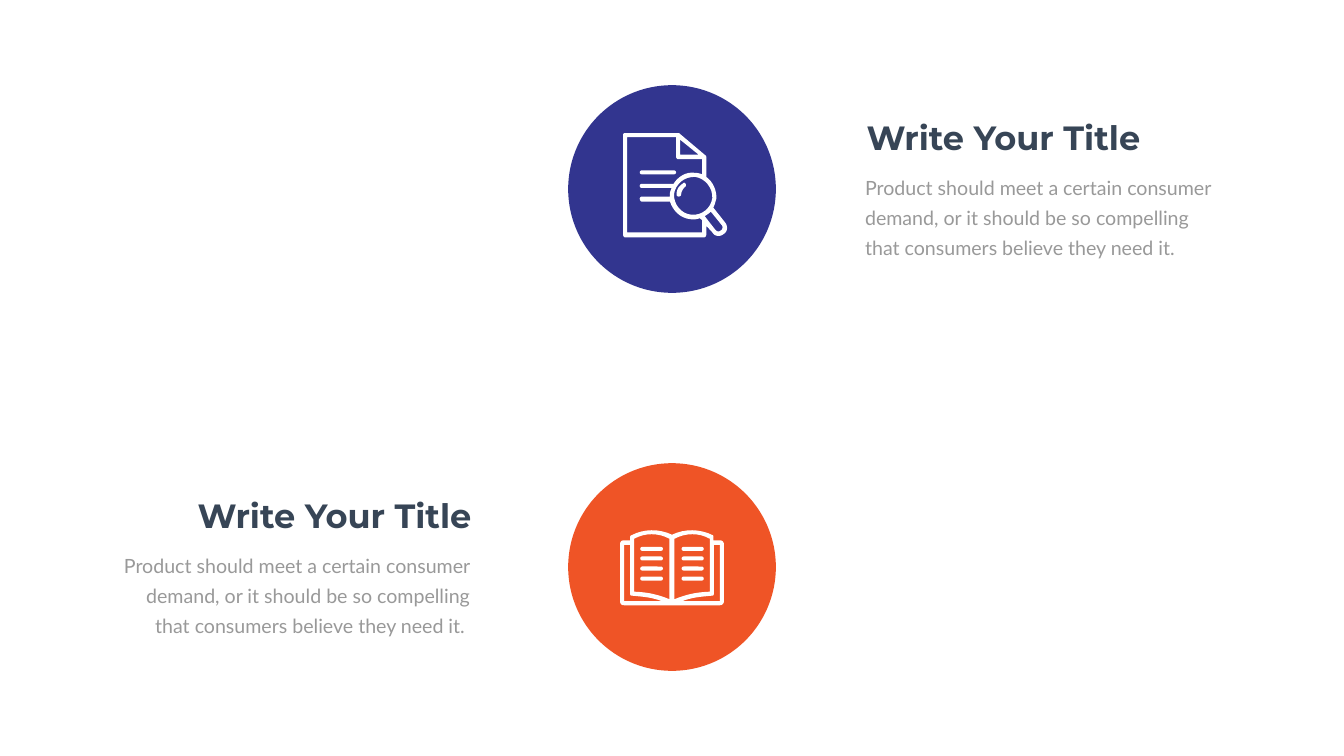
"""Build a slide with two icon circles, each beside a title and a short text."""
import pptx
import pptx.dml.color
import pptx.enum.shapes
import pptx.enum.text
import pptx.util

PX = 9144
SLIDE_WIDTH, SLIDE_HEIGHT = 2666, 1500
CURVE_STEPS = 8
FINE = 10
WHITE = "FFFFFF"
LEFT = pptx.enum.text.PP_ALIGN.LEFT
RIGHT = pptx.enum.text.PP_ALIGN.RIGHT
SHAPES = pptx.enum.shapes.MSO_SHAPE
TITLE = "Write Your Title"
BODY = ("Product should meet a certain consumer demand, or it should be so "
        "compelling that consumers believe they need it.")


def paint(color_format, color):
    color_format.rgb = pptx.dml.color.RGBColor.from_string(color)


def add_text(shapes, text, *, box, size, font, color, align, bold=False, inset=(10, 5), spacing=None):
    shape = shapes.add_textbox(*(length * PX for length in box))
    frame = shape.text_frame
    frame.word_wrap = True
    frame.auto_size = pptx.enum.text.MSO_AUTO_SIZE.SHAPE_TO_FIT_TEXT
    frame.margin_left = frame.margin_right = inset[0] * PX
    frame.margin_top = frame.margin_bottom = inset[1] * PX
    paragraph = frame.paragraphs[0]
    paragraph.alignment = align
    if spacing:
        paragraph.line_spacing = pptx.util.Pt(spacing)
    run = paragraph.add_run()
    run.text = text
    run.font.size = pptx.util.Pt(size)
    run.font.name = font
    run.font.bold = bold
    paint(run.font.color, color)


presentation = pptx.Presentation()
presentation.slide_width = SLIDE_WIDTH * PX
presentation.slide_height = SLIDE_HEIGHT * PX
slide = presentation.slides.add_slide(presentation.slide_layouts[6])

for top, color in ((169, "32358F"), (919, "EF5426")):
    circle = slide.shapes.add_shape(SHAPES.OVAL, 1127 * PX, top * PX, 412 * PX, 412 * PX)
    circle.shadow.inherit = False
    circle.fill.solid()
    paint(circle.fill.fore_color, color)
    circle.line.fill.background()

for body, body_left, title_left, top, align in (
    (BODY, 1692, 1709, 228, LEFT),
    (BODY + " ", 188, 373, 978, RIGHT),
):
    group = slide.shapes.add_group_shape()
    add_text(group.shapes, body, box=(body_left, top + 96, 768, 198), size=28, font="Lato",
             color="999999", align=align, inset=(24, 12), spacing=43)
    add_text(group.shapes, TITLE, box=(title_left, top, 572, 91), size=48, font="Montserrat",
             color="374556", align=align, bold=True)

document_outline = [
    [(1236, 268), (1236, 466), (1236, 468, 1238, 471, 1240, 471), (1397, 471),
     (1399, 471, 1401, 468, 1401, 466), (1401, 448), (1413, 461),
     (1418, 470, 1429, 470, 1436, 464), (1444, 459, 1444, 448, 1438, 441), (1415, 412),
     (1418, 406, 1419, 401, 1421, 394), (1422, 377, 1414, 361, 1401, 351), (1401, 311),
     (1401, 311, 1401, 309, 1399, 308), (1348, 265), (1348, 265, 1347, 264, 1345, 264),
     (1240, 264), (1238, 264, 1236, 265, 1236, 268)],
    [(1432, 447), (1434, 449, 1434, 455, 1430, 457), (1428, 460, 1422, 460, 1419, 456),
     (1398, 429), (1402, 426, 1406, 424, 1410, 420)],
    [(1413, 393), (1410, 413, 1393, 428, 1371, 426), (1351, 424, 1336, 405, 1337, 385),
     (1340, 365, 1358, 350, 1379, 351), (1399, 354, 1414, 373, 1413, 393)],
    [(1349, 277), (1386, 307), (1349, 307)],
    [(1244, 272), (1341, 272), (1341, 311), (1341, 313, 1343, 316, 1345, 316), (1393, 316),
     (1393, 346), (1388, 344, 1384, 343, 1379, 343), (1362, 340, 1345, 350, 1336, 365),
     (1273, 365), (1271, 365, 1269, 366, 1269, 369), (1269, 371, 1271, 373, 1273, 373),
     (1332, 373), (1331, 377, 1329, 381, 1329, 383), (1329, 386, 1329, 389, 1329, 390),
     (1273, 390), (1271, 390, 1269, 393, 1269, 394), (1269, 397, 1271, 400, 1273, 400),
     (1329, 400), (1335, 418, 1349, 433, 1370, 435), (1376, 436, 1383, 435, 1388, 433),
     (1393, 437), (1393, 461), (1244, 461)],
]
lens_glint = [
    [(1355, 364), (1346, 369, 1342, 377, 1342, 386), (1342, 388, 1344, 390, 1346, 390),
     (1348, 390, 1351, 389, 1351, 386), (1352, 379, 1355, 374, 1360, 370),
     (1361, 369, 1361, 366, 1360, 365), (1359, 362, 1356, 362, 1355, 364)],
]
book_cover = [
    (1428, 1072), (1415, 1072), (1415, 1066), (1415, 1064, 1415, 1062, 1414, 1062),
    (1388, 1049, 1358, 1049, 1333, 1061), (1308, 1049, 1277, 1049, 1253, 1062),
    (1251, 1062, 1250, 1064, 1250, 1066), (1250, 1072), (1238, 1072),
    (1232, 1072, 1230, 1076, 1230, 1080), (1230, 1193), (1230, 1197, 1232, 1201, 1238, 1201),
    (1428, 1201), (1433, 1201, 1436, 1197, 1436, 1193), (1436, 1080),
    (1436, 1076, 1433, 1072, 1428, 1072),
]
left_pages = [
    [(1258, 1069), (1279, 1057, 1306, 1057, 1328, 1069), (1328, 1189),
     (1306, 1180, 1286, 1175, 1258, 1174)],
    [(1238, 1081), (1250, 1081), (1250, 1178), (1250, 1181, 1251, 1182, 1254, 1182),
     (1278, 1184, 1296, 1186, 1313, 1193), (1238, 1193)],
]
right_pages = [
    [tuple(SLIDE_WIDTH - value if index % 2 == 0 else value for index, value in enumerate(node))
     for node in contour]
    for contour in left_pages
]
book_outline = [book_cover, *left_pages, *right_pages]
book_bars = [(left, 1085 + row * 59 // 3, width)
             for left, width in ((1270, 45), (1352, 44)) for row in range(4)]

for outlines, bars in (
    ([document_outline, lens_glint], [(1269, 338, 72)]),
    ([book_outline], book_bars),
):
    icon = slide.shapes.add_group_shape()
    parts = []
    for outline in outlines:
        builder = None
        for contour in outline:
            points = []
            for node in contour:
                node = [value * FINE for value in node]
                if len(node) == 2:
                    points.append(tuple(node))
                    continue
                start = points[-1]
                for step in range(1, CURVE_STEPS + 1):
                    t = step / CURVE_STEPS
                    points.append(tuple(
                        (1 - t) ** 3 * start[axis] + 3 * (1 - t) ** 2 * t * node[axis]
                        + 3 * (1 - t) * t ** 2 * node[axis + 2] + t ** 3 * node[axis + 4]
                        for axis in (0, 1)))
            if builder is None:
                builder = icon.shapes.build_freeform(*points[0], scale=PX / FINE)
            else:
                builder.move_to(*points[0])
            builder.add_line_segments(points[1:], close=True)
        parts.append(builder.convert_to_shape())
    for left, top, width in bars:
        bar = icon.shapes.add_shape(SHAPES.ROUNDED_RECTANGLE, left * PX, top * PX, width * PX, 8 * PX)
        bar.adjustments[0] = 0.5
        parts.append(bar)
    for part in parts:
        part.shadow.inherit = False
        part.fill.solid()
        paint(part.fill.fore_color, WHITE)
        part.line.fill.background()

presentation.save("out.pptx")
